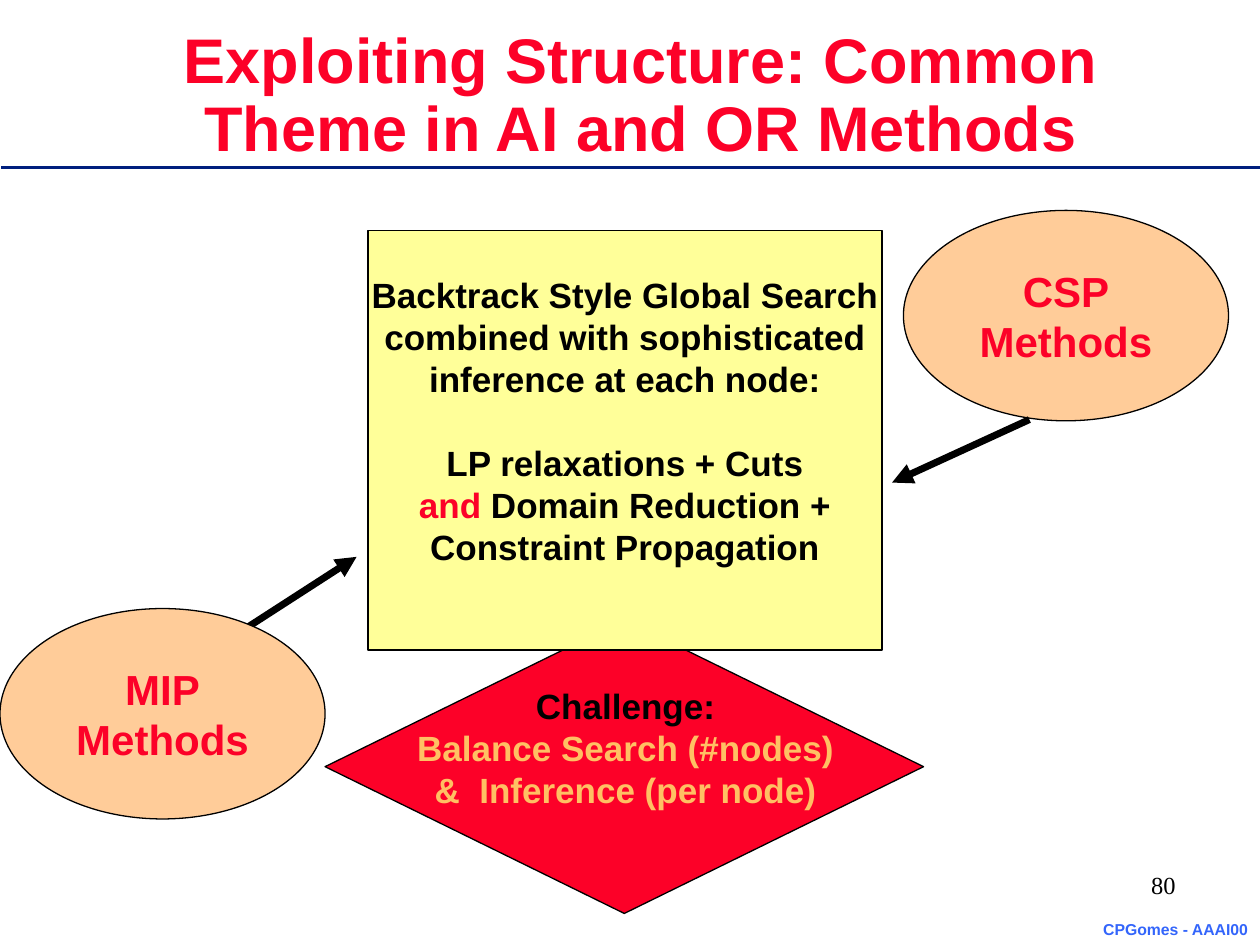
from dataclasses import dataclass

from lxml.etree import SubElement
from pptx import Presentation
from pptx.dml.color import RGBColor
from pptx.enum.shapes import MSO_CONNECTOR as Connector, MSO_SHAPE as Shape
from pptx.enum.text import MSO_ANCHOR as Anchor, MSO_AUTO_SIZE as AutoSize, PP_ALIGN as Align
from pptx.oxml.ns import qn
from pptx.util import Inches, Pt


@dataclass(frozen=True)
class Theme:
    font: str = "Arial"
    number_font: str = "Times New Roman"
    black: str = "000000"
    red: str = "FC0128"
    peach: str = "FFCC99"
    yellow: str = "FFFF99"
    orange: str = "FFC063"
    navy: str = "001F7E"
    blue: str = "3365FB"
    title_size: int = 36
    method_size: int = 24
    body_size: int = 20
    number_size: int = 14
    footer_size: int = 9


THEME = Theme()


def color(value):
    return RGBColor.from_string(value)


def format_run(run, size, text_color, font=THEME.font, bold=True):
    run.font.name = font
    run.font.size = Pt(size)
    run.font.bold = bold
    run.font.color.rgb = color(text_color)


def write_lines(shape, lines, size, text_color, align=Align.CENTER, **font_options):
    """Fill a shape with one unwrapped paragraph per line."""
    frame = shape.text_frame
    frame.text = "\n".join(lines)
    frame.word_wrap = False
    frame.vertical_anchor = Anchor.MIDDLE
    for paragraph in frame.paragraphs:
        paragraph.alignment = align
        for run in paragraph.runs:
            format_run(run, size, text_color, **font_options)
    return frame


def add_box(shapes, kind, left, top, width, height, fill):
    shape = shapes.add_shape(kind, Inches(left), Inches(top), Inches(width), Inches(height))
    shape.shadow.inherit = False
    shape.fill.solid()
    shape.fill.fore_color.rgb = color(fill)
    shape.line.color.rgb = color(THEME.black)
    shape.line.width = Pt(0.75)
    return shape


def add_label(shapes, left, top, width, height, lines, size, text_color, **options):
    box = shapes.add_textbox(Inches(left), Inches(top), Inches(width), Inches(height))
    return write_lines(box, lines, size, text_color, **options)


def add_line(shapes, start, end, line_color, width, arrow=False):
    points = [Inches(value) for value in (*start, *end)]
    line = shapes.add_connector(Connector.STRAIGHT, *points)
    line.line.color.rgb = color(line_color)
    line.line.width = Pt(width)
    if arrow:
        SubElement(line.line._get_or_add_ln(), qn("a:tailEnd"), type="triangle")
    SubElement(line._element.spPr, qn("a:effectLst"))


def add_method(shapes, left, top, name):
    ellipse = add_box(shapes, Shape.OVAL, left, top, 2.58, 1.67, THEME.peach)
    write_lines(ellipse, [name, "Methods"], THEME.method_size, THEME.red)


def add_text_shadow(run):
    effects = run.font._element.makeelement(qn("a:effectLst"))
    shadow = SubElement(effects, qn("a:outerShdw"), dist="35921", dir="13500000")
    SubElement(shadow, qn("a:srgbClr"), val=THEME.black)
    run.font._element.find(qn("a:solidFill")).addnext(effects)


def set_title(title, text):
    title.left, title.top = Inches(1.09), Inches(0.31)
    title.width, title.height = Inches(7.99), Inches(0.92)
    frame = write_lines(title, [text], THEME.title_size, THEME.red)
    frame.word_wrap = True
    frame.auto_size = AutoSize.NONE
    paragraph = frame.paragraphs[0]
    paragraph.line_spacing = 0.9
    add_text_shadow(paragraph.runs[0])


def add_challenge(shapes):
    group = shapes.add_group_shape().shapes
    add_box(group, Shape.DIAMOND, 2.58, 4.92, 4.75, 2.33, THEME.red)
    frame = add_label(
        group, 3.21, 5.38, 3.51, 1.1,
        ["Challenge:", "Balance Search (#nodes)", "&  Inference (per node)"],
        THEME.body_size, THEME.orange)
    frame.paragraphs[0].runs[0].font.color.rgb = color(THEME.black)


def add_search_box(shapes):
    box = add_box(shapes, Shape.RECTANGLE, 2.92, 1.83, 4.08, 3.33, THEME.yellow)
    frame = write_lines(
        box,
        ["Backtrack Style Global Search", "combined with sophisticated",
         "inference at each node:", "LP relaxations + Cuts", "and",
         "Constraint Propagation"],
        THEME.body_size, THEME.black)
    frame.vertical_anchor = Anchor.TOP
    frame.margin_top = Inches(0.34)
    relaxations, reduction = frame.paragraphs[3:5]
    relaxations.space_before = Pt(24)
    reduction.runs[0].font.color.rgb = color(THEME.red)
    rest = reduction.add_run()
    rest.text = " Domain Reduction +"
    format_run(rest, THEME.body_size, THEME.black)


def main():
    presentation = Presentation()
    presentation.slide_width, presentation.slide_height = Inches(10), Inches(7.5)
    slide = presentation.slides.add_slide(presentation.slide_layouts[5])
    shapes = slide.shapes

    # Heading, rule and footer
    set_title(shapes.title, "Exploiting Structure: Common Theme in AI and OR Methods")
    add_line(shapes, (0.01, 1.33), (10, 1.33), THEME.navy, 2)
    add_label(shapes, 8.65, 7.25, 1.36, 0.25, ["CPGomes - AAAI00"],
              THEME.footer_size, THEME.blue)

    # Methods feeding the combined search
    add_method(shapes, 7.17, 1.67, "CSP")
    add_line(shapes, (1.42, 5.33), (2.83, 4.42), THEME.black, 4, arrow=True)
    add_line(shapes, (8.17, 3.33), (7.08, 3.83), THEME.black, 4, arrow=True)
    add_challenge(shapes)
    add_search_box(shapes)
    add_method(shapes, 0, 4.83, "MIP")

    # Page number
    number = add_label(shapes, 7.17, 6.86, 2.26, 0.33, ["80"], THEME.number_size,
                       THEME.black, align=Align.RIGHT, font=THEME.number_font, bold=False)
    number.word_wrap = True

    presentation.save("out.pptx")


if __name__ == "__main__":
    main()
